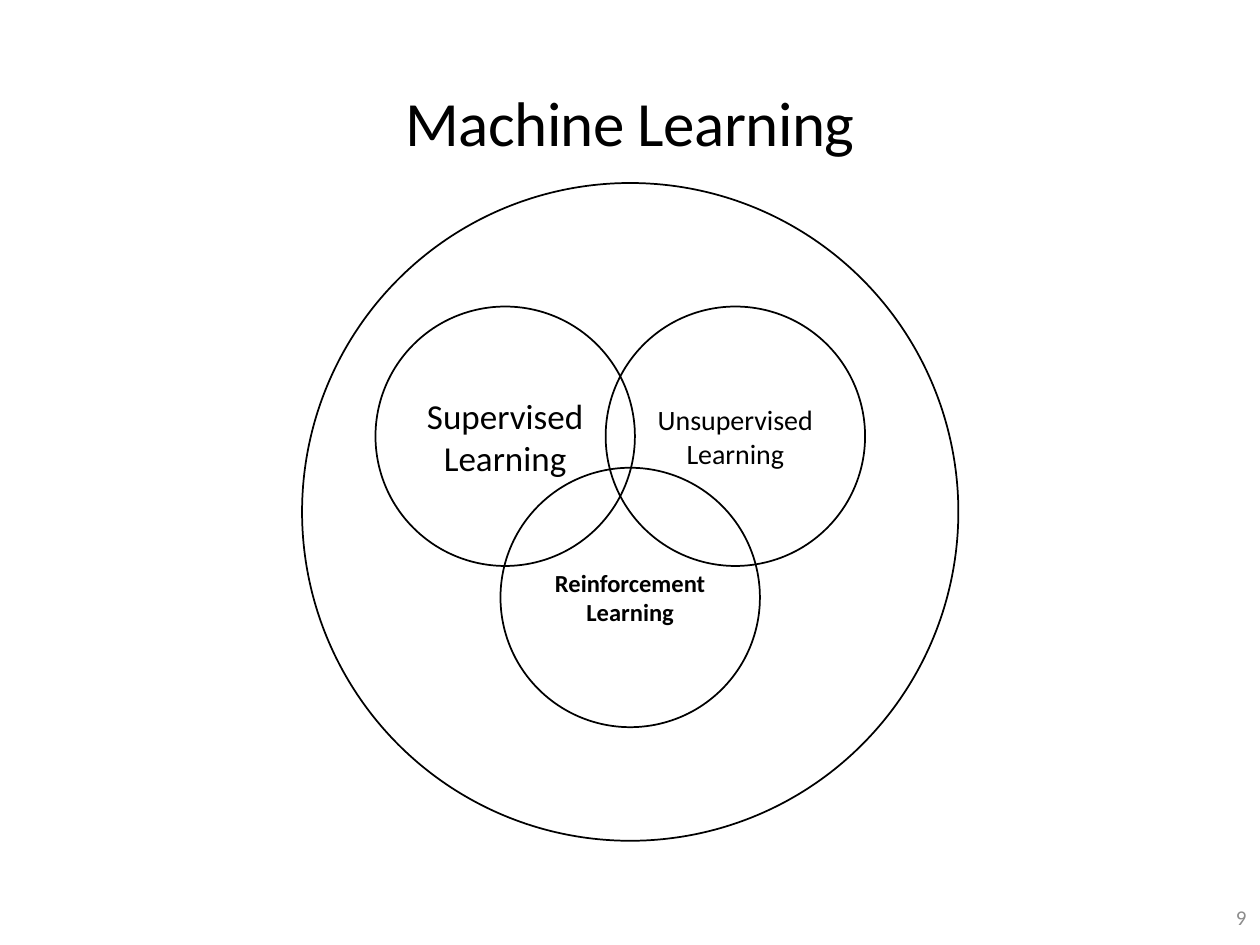
from dataclasses import dataclass

from pptx import Presentation
from pptx.dml.color import RGBColor
from pptx.enum.shapes import MSO_SHAPE as Preset
from pptx.enum.text import MSO_ANCHOR as Anchor, PP_ALIGN as Align
from pptx.util import Cm, Pt


@dataclass(frozen=True)
class Theme:
    font: str = "Calibri"
    ink: RGBColor = RGBColor(0, 0, 0)
    paper: RGBColor = RGBColor(255, 255, 255)
    muted: RGBColor = RGBColor(0x8C, 0x8C, 0x8C)
    title_size: int = 36
    number_size: int = 12
    supervised_size: int = 20
    unsupervised_size: int = 16
    reinforcement_size: int = 14
    outline: int = 1


THEME = Theme()


def write(frame, lines, *, size, color=THEME.ink, bold=False, align=Align.CENTER,
          tracking=0, leading=None):
    frame.word_wrap = True
    frame.vertical_anchor = Anchor.MIDDLE
    for index, line in enumerate(lines):
        paragraph = frame.add_paragraph() if index else frame.paragraphs[0]
        paragraph.alignment = align
        if leading:
            paragraph.line_spacing = Pt(leading)
        run = paragraph.add_run()
        run.text = line
        run.font.name = THEME.font
        run.font.size = Pt(size)
        run.font.bold = bold
        run.font.color.rgb = color
        if tracking:
            run._r.get_or_add_rPr().set("spc", str(round(tracking * 100)))


def add_label(slide, box, text, **style):
    frame = slide.shapes.add_textbox(*map(Cm, box)).text_frame
    frame.margin_left = frame.margin_top = frame.margin_right = frame.margin_bottom = 0
    write(frame, [text], **style)


def add_circle(slide, box, fill=None):
    circle = slide.shapes.add_shape(Preset.OVAL, *map(Cm, box))
    circle.shadow.inherit = False
    if fill is None:
        circle.fill.background()
    else:
        circle.fill.solid()
        circle.fill.fore_color.rgb = fill
    circle.line.color.rgb = THEME.ink
    circle.line.width = Pt(THEME.outline)
    return circle


def add_venn(slide, box):
    left, top, width, height = box
    add_circle(slide, box, fill=THEME.paper)

    diameter = 5.23
    upper, lower = 2.49, 5.74
    branches = [
        ("Supervised", 1.48, upper, THEME.supervised_size, False),
        ("Unsupervised", 6.12, upper, THEME.unsupervised_size, False),
        ("Reinforcement", (width - diameter) / 2, lower, THEME.reinforcement_size, True),
    ]
    for branch, dx, dy, size, bold in branches:
        circle = add_circle(slide, (left + dx, top + dy, diameter, diameter))
        write(circle.text_frame, [branch, "Learning"], size=size, bold=bold)


def main():
    deck = Presentation()
    deck.slide_width, deck.slide_height = Cm(25.4), Cm(19.05)
    slide = deck.slides.add_slide(deck.slide_layouts[6])

    add_label(slide, (1.75, 0.6, 21.9, 3.7), "Machine Learning",
              size=THEME.title_size, tracking=-0.3)
    add_label(slide, (24.49, 18.21, 0.64, 0.56), "9", size=THEME.number_size,
              color=THEME.muted, align=Align.RIGHT, leading=14.3)
    add_venn(slide, (6.09, 3.69, 13.23, 13.26))

    deck.save("out.pptx")


if __name__ == "__main__":
    main()
